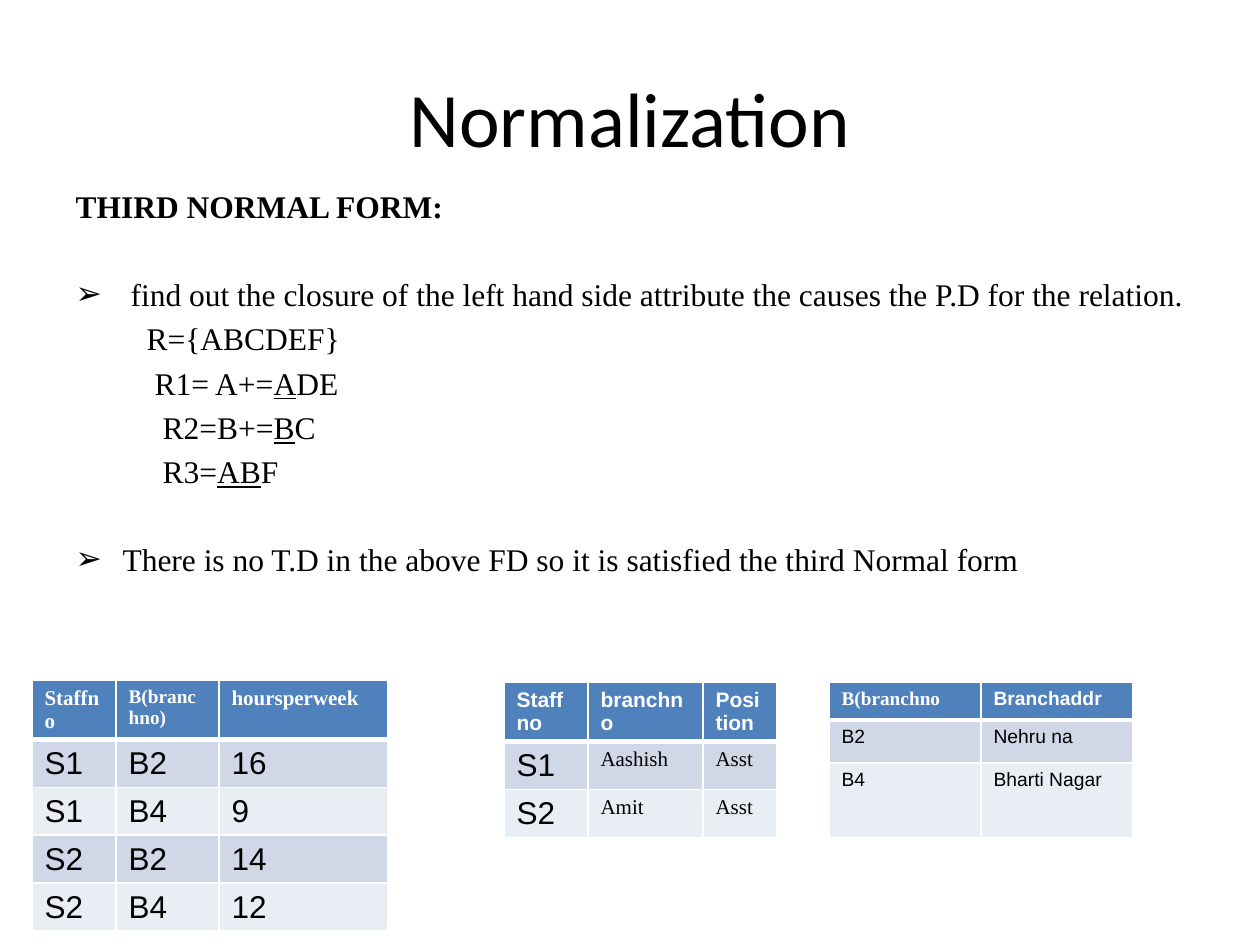
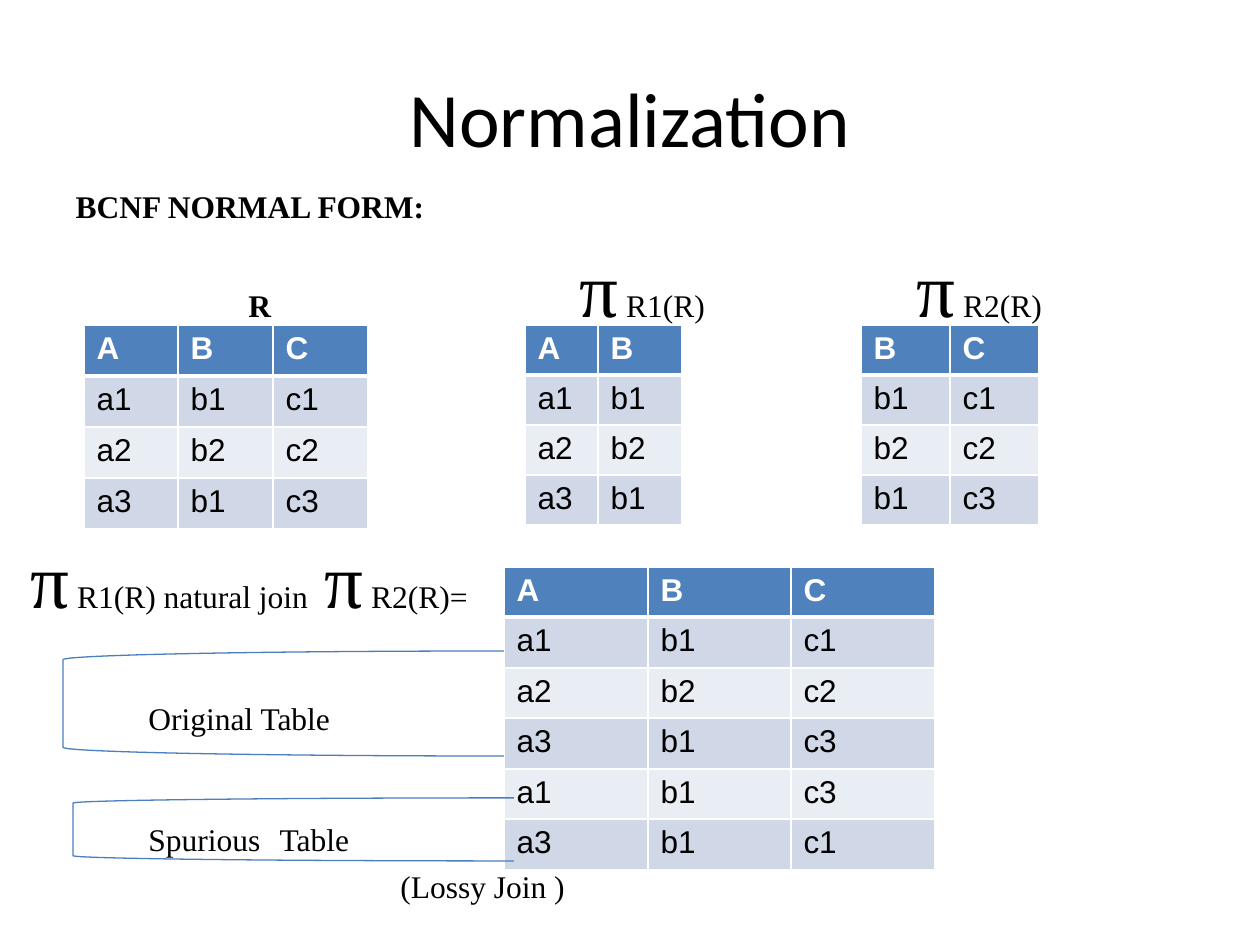
from dataclasses import dataclass
from typing import NamedTuple

from lxml.etree import SubElement
from pptx import Presentation
from pptx.dml.color import RGBColor
from pptx.enum.shapes import MSO_SHAPE as Preset
from pptx.enum.text import MSO_ANCHOR as Anchor, MSO_AUTO_SIZE as AutoSize, PP_ALIGN as Align
from pptx.oxml.ns import qn
from pptx.util import Pt

PX = 7257  # EMU in one px, 126 px to the inch
COLORS = {
    "ink": "000000",
    "paper": "FFFFFF",
    "head": "4F81BD",
    "band_dark": "D0D8E8",
    "band_light": "E9EDF4",
    "bracket": "4B7EBC",
}
SERIF, SANS, TITLE_FONT = "Times New Roman", "Arial", "Calibri"
TEXT_SIZE, PI_SIZE = 18, 44
LINE_GAP, BLOCK_GAP = 3.75, 28.4  # points before a line and before a new block
INSET = 13  # px from the left edge of a text box to its text


class Box(NamedTuple):
    left: int
    top: int
    width: int
    height: int


class Face(NamedTuple):
    font: str
    size: int


class Span(NamedTuple):
    text: str
    size: int = TEXT_SIZE
    bold: bool = False
    underline: bool = False


@dataclass
class Line:
    spans: list[Span]
    before: float = LINE_GAP
    margin: int = 0
    bullet: str = ""


@dataclass
class Label:
    text_left: int
    top: int
    width: int
    spans: list[Span]


@dataclass
class Grid:
    left: int
    top: int
    columns: list[int]
    heights: list[int]
    rows: list[str]
    head_faces: list[Face]
    body_faces: list[Face]


def color(name: str) -> RGBColor:
    return RGBColor.from_string(COLORS[name])


def emu(box: Box) -> list[int]:
    return [length * PX for length in box]


def place(shape, box: Box) -> None:
    shape.left, shape.top, shape.width, shape.height = emu(box)


def add_span(para, text: str, *, font: str = SERIF, size: int = TEXT_SIZE,
             ink: str = "ink", bold: bool = False, underline: bool = False) -> None:
    span = para.add_run()
    span.text = text
    span.font.name, span.font.size = font, Pt(size)
    span.font.bold, span.font.underline = bold, underline
    span.font.color.rgb = color(ink)


def set_layout(para, line: Line) -> None:
    """Set the margin and bullet of a paragraph."""
    props = para._p.get_or_add_pPr()
    props.set("marL", str(line.margin * PX))
    props.set("indent", str(-line.margin * PX if line.bullet else 0))
    if line.bullet:
        SubElement(props, qn("a:buFont"), typeface="Arial")
        SubElement(props, qn("a:buChar"), char=line.bullet)
    else:
        SubElement(props, qn("a:buNone"))


def write_lines(frame, lines: list[Line]) -> None:
    frame.word_wrap = True
    frame.auto_size = AutoSize.NONE
    for index, line in enumerate(lines):
        para = frame.add_paragraph() if index else frame.paragraphs[0]
        set_layout(para, line)
        para.space_before = Pt(line.before if index else 0)
        para.alignment = Align.LEFT
        for span in line.spans:
            add_span(para, span.text, size=span.size, bold=span.bold,
                     underline=span.underline)


def add_label(page, label: Label) -> None:
    height = 101 if any(span.size == PI_SIZE for span in label.spans) else 49
    box = Box(label.text_left - INSET, label.top, label.width, height)
    write_lines(page.shapes.add_textbox(*emu(box)).text_frame, [Line(label.spans)])


def set_borders(cell, bottom_width: int) -> None:
    props = cell._tc.get_or_add_tcPr()
    widths = {"lnL": 1, "lnR": 1, "lnT": 1, "lnB": bottom_width}
    for index, (side, width) in enumerate(widths.items()):
        edge = props.makeelement(qn(f"a:{side}"), {"w": str(Pt(width))})
        fill = SubElement(edge, qn("a:solidFill"))
        SubElement(fill, qn("a:srgbClr"), val=COLORS["paper"])
        props.insert(index, edge)


def add_grid(page, grid: Grid) -> None:
    box = Box(grid.left, grid.top, sum(grid.columns), sum(grid.heights))
    table = page.shapes.add_table(len(grid.rows), len(grid.columns), *emu(box)).table
    table.horz_banding = False
    for column, width in zip(table.columns, grid.columns):
        column.width = width * PX
    for index, (row, height) in enumerate(zip(table.rows, grid.heights)):
        row.height = height * PX
        is_head = index == 0
        faces = grid.head_faces if is_head else grid.body_faces
        band = "head" if is_head else ("band_dark" if index % 2 else "band_light")
        for cell, text, face in zip(row.cells, grid.rows[index].split("|"), faces):
            cell.fill.solid()
            cell.fill.fore_color.rgb = color(band)
            set_borders(cell, 3 if is_head else 1)
            add_span(cell.text_frame.paragraphs[0], text, font=face.font, size=face.size,
                     ink="paper" if is_head else "ink", bold=is_head)


def add_letter_grid(page, left: int, top: int, columns: list[int], heights: list[int],
                    rows: list[str]) -> None:
    faces = [Face(SANS, TEXT_SIZE)] * len(columns)
    add_grid(page, Grid(left, top, columns, heights, rows, faces, faces))


def add_bracket(page, box: Box) -> None:
    bracket = page.shapes.add_shape(Preset.LEFT_BRACKET, *emu(box))
    bracket.shadow.inherit = False
    bracket.fill.background()
    bracket.line.color.rgb = color("bracket")
    bracket.line.width = Pt(0.75)


def add_page(deck, lines: list[Line]):
    """Add a page with the shared title and a body list."""
    page = deck.slides.add_slide(deck.slide_layouts[1])
    title, body = page.placeholders
    place(title, Box(63, 38, 1134, 157))
    title.text_frame.vertical_anchor = Anchor.MIDDLE
    para = title.text_frame.paragraphs[0]
    para.alignment = Align.CENTER
    add_span(para, "Normalization", font=TITLE_FONT, size=44)
    place(body, Box(63, 181, 1155, 740))
    write_lines(body.text_frame, lines)
    return page


def pi_spans(text: str) -> list[Span]:
    return [Span("π", PI_SIZE), Span(f" {text}")]


def build_third_form(deck) -> None:
    page = add_page(deck, [
        Line([Span("THIRD NORMAL FORM:", bold=True)]),
        Line([Span("find out the closure of the left hand side attribute "
                   "the causes the P.D for the relation.")], BLOCK_GAP, 55, "➢"),
        Line([Span("R={ABCDEF}")], margin=71),
        Line([Span("R1= A+="), Span("A", underline=True), Span("DE")], margin=79),
        Line([Span("R2=B+="), Span("B", underline=True), Span("C")], margin=87),
        Line([Span("R3="), Span("AB", underline=True), Span("F")], margin=87),
        Line([Span("There is no T.D in the above FD so it is satisfied "
                   "the third Normal form")], BLOCK_GAP, 47, "➢"),
    ])
    serif_12, serif_11 = Face(SERIF, 12), Face(SERIF, 11)
    sans_18, sans_12, sans_11 = Face(SANS, 18), Face(SANS, 12), Face(SANS, 11)
    # Branches, staff and weekly hours
    add_grid(page, Grid(829, 682, [152, 152], [38, 43, 75],
                        ["B(branchno|Branchaddr", "B2|Nehru na", "B4|Bharti Nagar"],
                        [serif_11, sans_11], [sans_11] * 2))
    add_grid(page, Grid(504, 682, [84, 115, 74], [59, 47, 47],
                        ["Staffno|branchno|Position", "S1|Aashish|Asst", "S2|Amit|Asst"],
                        [sans_12] * 3, [sans_18, serif_12, serif_12]))
    add_grid(page, Grid(32, 680, [84, 103, 169], [58] + [48] * 4,
                        ["Staffno|B(branchno)|hoursperweek",
                         "S1|B2|16", "S1|B4|9", "S2|B2|14", "S2|B4|12"],
                        [serif_12, serif_11, serif_12], [sans_18] * 3))


def build_bcnf(deck) -> None:
    page = add_page(deck, [Line([Span("BCNF NORMAL FORM:", bold=True)])])
    # The relation and its two projections
    add_letter_grid(page, 84, 325, [94, 95, 95], [51] * 4,
                    ["A|B|C", "a1|b1|c1", "a2|b2|c2", "a3|b1|c3"])
    add_letter_grid(page, 525, 325, [73, 84], [50] * 4, ["A|B", "a1|b1", "a2|b2", "a3|b1"])
    add_letter_grid(page, 861, 325, [89] * 2, [50] * 4, ["B|C", "b1|c1", "b2|c2", "b1|c3"])
    # Labels above the tables and captions beside the join
    for label in [
        Label(249, 280, 80, [Span("R", bold=True)]),
        Label(580, 234, 180, pi_spans("R1(R)")),
        Label(917, 234, 180, pi_spans("R2(R)")),
        Label(31, 525, 310, pi_spans("R1(R) natural join")),
        Label(325, 525, 180, pi_spans("R2(R)=")),
        Label(149, 693, 260, [Span("Original Table")]),
        Label(149, 768, 260, [Span("Spurious"), Span(" ", PI_SIZE), Span("Table")]),
        Label(401, 861, 220, [Span("(Lossy Join )")]),
    ]:
        add_label(page, label)
    # The join and the brackets around its rows
    add_letter_grid(page, 504, 567, [144, 143, 144], [50, 51] * 3,
                    ["A|B|C", "a1|b1|c1", "a2|b2|c2", "a3|b1|c3", "a1|b1|c3", "a3|b1|c1"])
    add_bracket(page, Box(63, 651, 441, 105))
    add_bracket(page, Box(73, 798, 441, 63))


def main() -> None:
    deck = Presentation()
    deck.slide_width, deck.slide_height = 1260 * PX, 945 * PX
    build_third_form(deck)
    build_bcnf(deck)
    deck.save("out.pptx")


if __name__ == "__main__":
    main()
